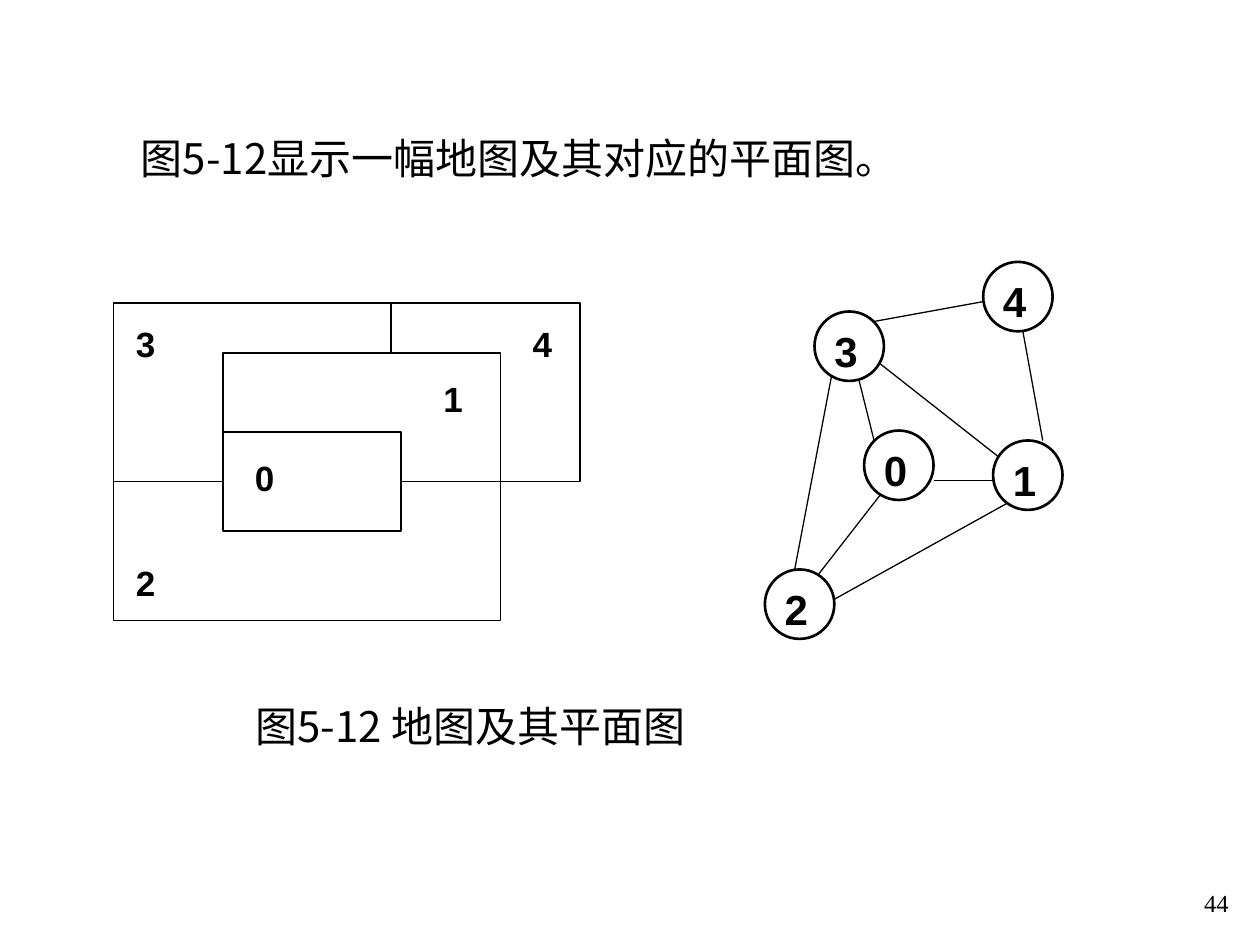
"""Build the slide that shows a map beside its planar graph."""
from pptx import Presentation
from pptx.dml.color import RGBColor
from pptx.enum.shapes import MSO_CONNECTOR as Link, MSO_SHAPE as Shape
from pptx.enum.text import PP_ALIGN as Align
from pptx.oxml.ns import qn
from pptx.util import Cm, Pt
from lxml.etree import SubElement

SANS, SERIF, CHINESE = "Arial", "Times New Roman", "Noto Sans CJK SC"
INK, PAPER = "000000", "FFFFFF"
UNIT = 0.2
NODE_SIZE = 7

REGIONS = [
    ((0, 0, 28, 18), None),
    ((28, 0, 19, 18), None),
    ((0, 18, 39, 14), None),
    ((11, 5, 28, 13), PAPER),
    ((11, 13, 18, 10), PAPER),
]
REGION_LABELS = {"3": (1, 1), "4": (41, 1), "1": (32, 6.5), "0": (13, 14.5), "2": (1, 25)}
NODES = {"2": (0, 31), "3": (5, 5), "0": (10, 17), "1": (23, 18), "4": (22, 0)}
EDGES = [
    (9, 10, 11, 18),
    (17, 22, 24, 22),
    (26, 7, 28, 18),
    (22, 4, 11, 6),
    (10, 9, 24, 20),
    (12, 23, 5, 32),
    (7, 10, 3, 31),
    (25, 24, 7, 34),
]


def colour(code):
    return RGBColor.from_string(code)


class Sketch:
    def __init__(self, page):
        self.page = page
        self.open_page()

    def open_page(self):
        self.shapes, self.left, self.top, self.scale = self.page.shapes, 0, 0, 1

    def open_group(self, left, top):
        self.shapes = self.page.shapes.add_group_shape().shapes
        self.left, self.top, self.scale = left, top, UNIT

    def point(self, x, y):
        return Cm(self.left + x * self.scale), Cm(self.top + y * self.scale)

    def frame(self, x, y, width, height):
        return *self.point(x, y), Cm(width * self.scale), Cm(height * self.scale)

    def outline(self, kind, place, weight, fill=None):
        shape = self.shapes.add_shape(kind, *self.frame(*place))
        shape.shadow.inherit = False
        if fill:
            shape.fill.solid()
            shape.fill.fore_color.rgb = colour(fill)
        else:
            shape.fill.background()
        shape.line.color.rgb = colour(INK)
        shape.line.width = Pt(weight)

    def edge(self, x1, y1, x2, y2):
        line = self.shapes.add_connector(
            Link.STRAIGHT, *self.point(x1, y1), *self.point(x2, y2))
        line.line.color.rgb = colour(INK)
        line.line.width = Pt(0.75)
        SubElement(line._element.spPr, qn("a:effectLst"))

    def text(self, words, place, size, face, side=0.25, head=0.0, bold=False, align=Align.LEFT):
        box = self.shapes.add_textbox(*self.frame(*place))
        body = box.text_frame
        body.word_wrap = True
        body.margin_left = body.margin_right = Cm(side)
        body.margin_top, body.margin_bottom = Cm(head), Cm(0)
        para = body.paragraphs[0]
        para.alignment = align
        span = para.add_run()
        span.text = words
        span.font.size = Pt(size)
        span.font.bold = bold
        span.font.name = face
        span.font.color.rgb = colour(INK)
        SubElement(span._r.get_or_add_rPr(), qn("a:ea")).set("typeface", face)


def draw_map(sketch):
    sketch.open_group(2.29, 6.11)
    for place, fill in REGIONS:
        sketch.outline(Shape.RECTANGLE, place, 1, fill)
    for name, (x, y) in REGION_LABELS.items():
        sketch.text(name, (x, y, 5, 5.5), 20, SANS, head=0.2, bold=True)


def draw_graph(sketch):
    sketch.open_group(15.42, 5.28)
    for ends in EDGES:
        sketch.edge(*ends)
    for x, y in NODES.values():
        sketch.outline(Shape.OVAL, (x, y, NODE_SIZE, NODE_SIZE), 1.5, PAPER)
    for name, (x, y) in NODES.items():
        sketch.text(name, (x + 2, y + 1, 4, 5), 24, SANS, side=0, head=0.08, bold=True)


def main():
    deck = Presentation()
    deck.slide_width, deck.slide_height = Cm(25.4), Cm(19.05)
    sketch = Sketch(deck.slides.add_slide(deck.slide_layouts[6]))
    sketch.text("44", (22.1, 17.73, 2.92, 0.91), 14, SERIF, head=0.17, align=Align.RIGHT)
    draw_map(sketch)
    draw_graph(sketch)
    sketch.open_page()
    sketch.text("图5-12显示一幅地图及其对应的平面图。", (2.59, 2.67, 15.7, 1.3), 24, CHINESE)
    sketch.text("图5-12 地图及其平面图", (4.9, 14.12, 13.41, 1.27), 24, CHINESE)
    deck.save("out.pptx")


if __name__ == "__main__":
    main()
